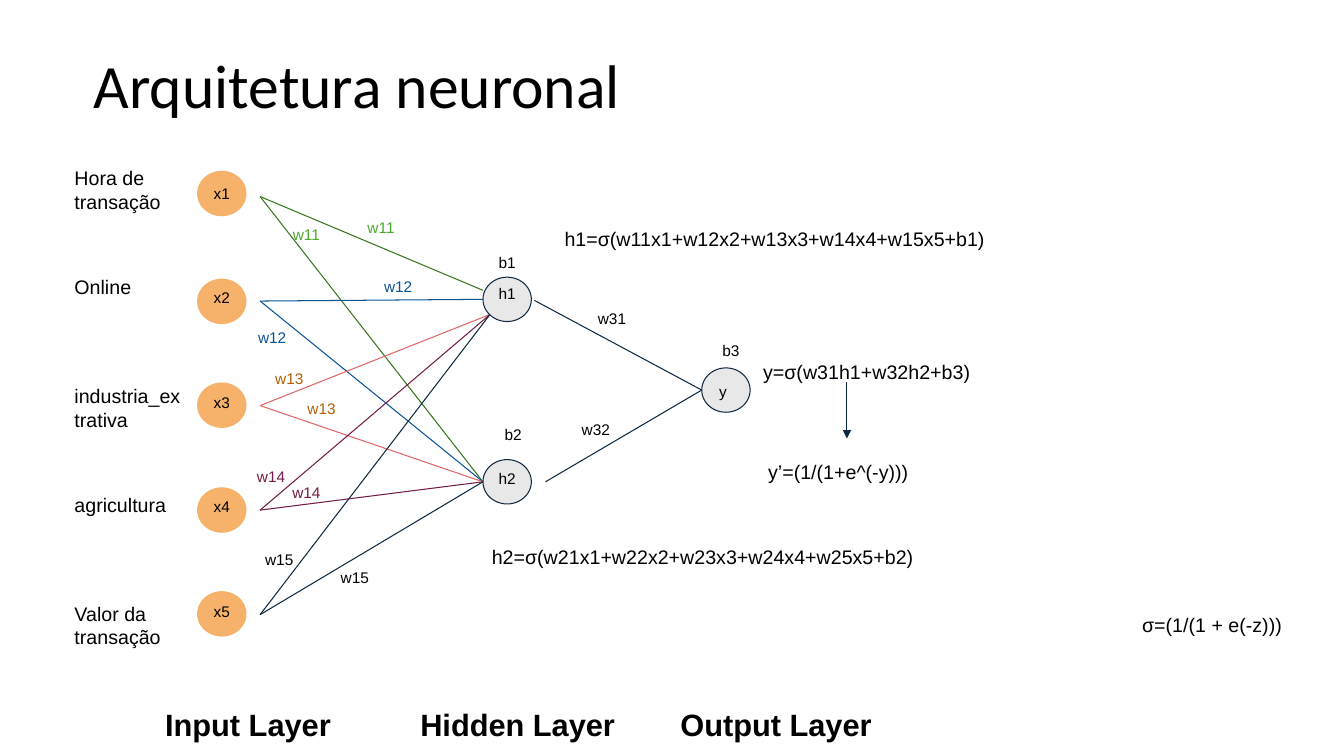
from lxml import etree
from pptx import Presentation, util as u
from pptx.dml.color import RGBColor
from pptx.enum import shapes, text
from pptx.oxml.ns import qn

CELL = u.Inches(0.1)
BLACK = RGBColor(0x00, 0x00, 0x00)
ORANGE = RGBColor(0xF6, 0xB2, 0x6B)
GREY = RGBColor(0xE8, 0xE8, 0xE8)
NAVY = RGBColor(0x0E, 0x28, 0x41)
GREEN = RGBColor(0x38, 0x76, 0x1D)
LIME = RGBColor(0x4E, 0xA7, 0x2E)
BLUE = RGBColor(0x0B, 0x53, 0x94)
RED = RGBColor(0xE0, 0x66, 0x66)
BROWN = RGBColor(0xB4, 0x5F, 0x06)
PLUM = RGBColor(0x74, 0x1B, 0x47)

CENTER = text.PP_ALIGN.CENTER
JUSTIFY = text.PP_ALIGN.JUSTIFY


def grid(*cells):
    return [round(c * CELL) for c in cells]


def write(tf, content, size=14, font="Arial", color=BLACK, bold=False,
          align=None, spacing=None):
    p = tf.paragraphs[0]
    p.alignment = align
    p.line_spacing = spacing
    r = p.add_run()
    r.text = content
    r.font.size = u.Pt(size)
    r.font.name = font
    r.font.bold = bold
    r.font.color.rgb = color


class Diagram:
    node_size = (4.8, 4.4)
    tag_size = (7.6, 4.4)
    stroke = u.Pt(0.75)

    def __init__(self, s):
        self.s = s

    def text(self, content, col, row, cols, rows, inset=(1, 1),
             anchor=text.MSO_ANCHOR.TOP, **fmt):
        tf = self.s.shapes.add_textbox(*grid(col, row, cols, rows)).text_frame
        tf.word_wrap = True
        tf.vertical_anchor = anchor
        tf.margin_left, tf.margin_top = tf.margin_right, tf.margin_bottom = grid(*inset)
        write(tf, content, **fmt)

    def tag(self, content, col, row, color=BLACK):
        self.text(content, col, row, *self.tag_size, size=11, color=color, align=CENTER)

    def node(self, col, row, fill, line):
        sp = self.s.shapes.add_shape(shapes.MSO_SHAPE.OVAL,
                                     *grid(col, row, *self.node_size))
        sp.shadow.inherit = False
        sp.fill.solid()
        sp.fill.fore_color.rgb = fill
        sp.line.color.rgb = line
        sp.line.width = self.stroke

    def line(self, start, end, color=NAVY, arrow=False):
        sp = self.s.shapes.add_connector(shapes.MSO_CONNECTOR.STRAIGHT,
                                         *grid(*start, *end))
        sp.line.color.rgb = color
        sp.line.width = self.stroke
        if arrow:
            etree.SubElement(sp.line._get_or_add_ln(), qn("a:tailEnd"), type="triangle")
        etree.SubElement(sp._element.spPr, qn("a:effectLst"))


def draw_inputs(d):
    h1_ends = [(47.9, 28.8), (47.9, 29.7)] + [(48.6, 31.2)] * 3
    h2_end = (47.9, 47.8)
    inputs = [
        ("Hora de transação", 10.8, 17, GREEN, LIME, (34, 20.7), (26.6, 21.4)),
        ("Online", 10.8, 27.7, BLUE, BLUE, (35.7, 26.6), (23.2, 31.6)),
        ("industria_extrativa", 12.9, 38, RED, BROWN, (24.9, 35.7), (28.1, 38.7)),
        ("agricultura", 12.9, 48.4, PLUM, PLUM, (23.1, 45.4), (26.6, 47)),
        ("Valor da transação", 12.9, 58.7, NAVY, BLACK, (23.9, 53.7), (31.4, 55.4)),
    ]
    for i, (name, cols, top, line, ink, *weights) in enumerate(inputs):
        row = 10.37 * i
        d.text(name, 6.4, 15.5 + 10.8 * i, cols, 6.7)
        d.node(19.6, top, ORANGE, ORANGE)
        d.tag(f"x{i + 1}", 18.2, 17.3 + row)
        for end in (h1_ends[i], h2_end):
            d.line((25.8, 19.5 + row), end, line)
        for at in weights:
            d.tag(f"w1{i + 1}", *at, color=ink)


def draw_outputs(d):
    y_in = (69.6, 38.7)
    for start in ((53, 29.8), (54.1, 47.8)):
        d.line(start, y_in)
    for col, row in ((47.9, 27.5), (47.9, 45.6), (69.6, 36.5)):
        d.node(col, row, GREY, NAVY)
    for name, col, row in (
        ("h1", 46.5, 27.3), ("h2", 46.5, 45.6), ("y", 67.9, 37),
        ("b1", 46.5, 24.2), ("b2", 47.1, 41.3), ("b3", 68.7, 32.9),
        ("w31", 56.9, 29.7), ("w32", 55.3, 40.8),
    ):
        d.tag(name, col, row)


def draw_formulas(d):
    d.text("h1=σ(w11x1+w12x2+w13x3+w14x4+w15x5+b1)", 54.1, 20.3, 45.5, 5.1,
           align=CENTER, spacing=1.5)
    for formula, col, row, cols in (
        ("h2=σ(w21x1+w22x2+w23x3+w24x4+w25x5+b2)", 47.8, 51.9, 44.4),
        ("y=σ(w31h1+w32h2+b3)", 74.7, 33.5, 32.8),
        ("y’=(1/(1+e^(-y)))", 75.2, 43.5, 32.8),
    ):
        d.text(formula, col, row, cols, 4.4, spacing=1.5)
    d.text("σ=(1/(1 + e(-z)))", 112.3, 59.8, 16.6, 5.1)
    d.line((84, 37.9), (84, 43.5), arrow=True)


def main():
    prs = Presentation()
    prs.slide_width, prs.slide_height = u.Inches(13.33), u.Inches(7.5)
    d = Diagram(prs.slides.add_slide(prs.slide_layouts[6]))
    d.text("Arquitetura neuronal", 8.3, 1.5, 115, 14.5, inset=(1, 0.5),
           anchor=text.MSO_ANCHOR.MIDDLE, size=44, font="Calibri", spacing=0.9)
    draw_inputs(d)
    draw_outputs(d)
    draw_formulas(d)
    for name, col, cols in (("Input", 15.4, 18.7), ("Hidden", 40.7, 22.8),
                            ("Output", 66.5, 22.8)):
        d.text(f"{name} Layer", col, 67.2, cols, 5.7, size=22, bold=True,
               align=JUSTIFY, spacing=1.5)
    prs.save("out.pptx")


if __name__ == "__main__":
    main()
